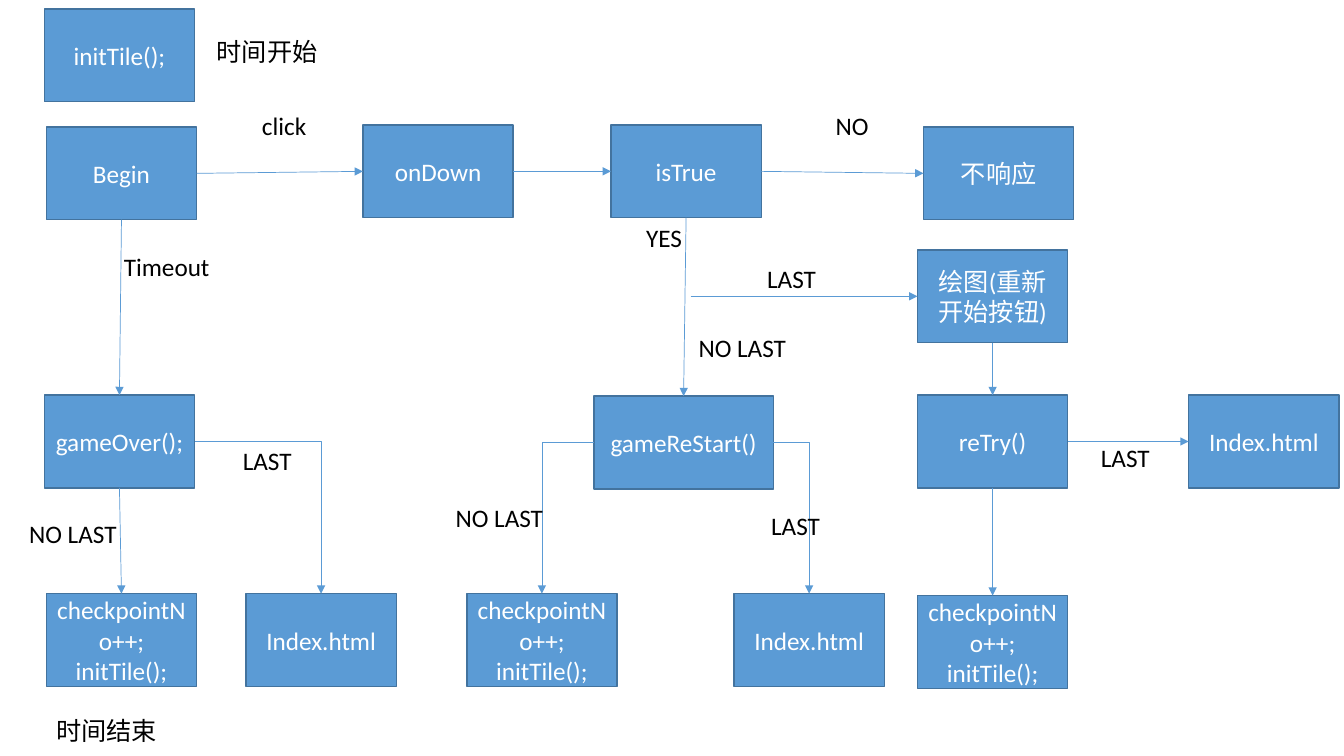
from pptx import Presentation
from pptx.dml.color import RGBColor
from pptx.enum.shapes import MSO_CONNECTOR as LINK, MSO_SHAPE as SHAPE
from pptx.enum.text import MSO_ANCHOR as ANCHOR, MSO_AUTO_SIZE as FIT, PP_ALIGN as ALIGN
from pptx.oxml.ns import qn
from pptx.util import Inches, Pt
from lxml.etree import SubElement


def color(value):
    return RGBColor.from_string(value)


def write(frame, text, ink, align):
    frame.text = text
    for para in frame.paragraphs:
        para.alignment = align
        para.font.name = "Calibri"
        para.font.size = Pt(18)
        para.font.color.rgb = color(ink)


deck = Presentation()
deck.slide_width, deck.slide_height = Inches(13.33), Inches(7.5)
page = deck.slides.add_slide(deck.slide_layouts[6])

# Grid of the flowchart: left edges of columns, top edges of rows
BEGIN, OVER_EXIT, DOWN, NEXT, RESTART, CHECK = 0.44, 2.44, 3.6, 4.63, 5.89, 6.06
RESTART_EXIT, RETRY, IGNORE, EXIT = 7.28, 9.1, 9.16, 11.79
START, CLICK, DRAW, RESULT, FINISH = 0.09, 1.24, 2.48, 3.92, 5.89
NUDGE = 0.02
BOX_WIDTH, WIDE_BOX, BOX_HEIGHT = 1.49, 1.78, 0.92
next_level = "checkpointNo++;\ninitTile();"

# Step boxes
steps = {
    "start": ("initTile();", BEGIN, START),
    "begin": ("Begin", BEGIN + NUDGE, CLICK + NUDGE),
    "down": ("onDown", DOWN, CLICK),
    "check": ("isTrue", CHECK, CLICK),
    "ignore": ("不响应", IGNORE, CLICK + NUDGE),
    "draw": ("绘图(重新开始按钮)", RETRY, DRAW),
    "over": ("gameOver();", BEGIN, RESULT),
    "restart": ("gameReStart()", RESTART, RESULT + NUDGE / 2),
    "retry": ("reTry()", RETRY, RESULT),
    "retry exit": ("Index.html", EXIT, RESULT),
    "over next": (next_level, BEGIN + NUDGE, FINISH),
    "over exit": ("Index.html", OVER_EXIT, FINISH),
    "restart next": (next_level, NEXT, FINISH),
    "restart exit": ("Index.html", RESTART_EXIT, FINISH),
    "retry next": (next_level, RETRY, FINISH + NUDGE),
}
boxes = {}
for step, (text, left, top) in steps.items():
    width = WIDE_BOX if step == "restart" else BOX_WIDTH
    box = page.shapes.add_shape(SHAPE.RECTANGLE, Inches(left), Inches(top),
                                Inches(width), Inches(BOX_HEIGHT))
    box.shadow.inherit = False
    box.fill.solid()
    box.fill.fore_color.rgb = color("5B9BD5")
    box.line.color.rgb = color("43739E")
    box.line.width = Pt(1)
    box.text_frame.word_wrap = True
    box.text_frame.vertical_anchor = ANCHOR.MIDDLE
    write(box.text_frame, text, "FFFFFF", ALIGN.CENTER)
    boxes[step] = box

# Arrows between connection sites; the branch to "draw" starts in open space
TOP, LEFT, BOTTOM, RIGHT = range(4)
arrows = [
    ("begin", RIGHT, "down", LEFT),
    ("down", RIGHT, "check", LEFT),
    ("check", RIGHT, "ignore", LEFT),
    ("begin", BOTTOM, "over", TOP),
    ("check", BOTTOM, "restart", TOP),
    (None, None, "draw", LEFT),
    ("draw", BOTTOM, "retry", TOP),
    ("retry", RIGHT, "retry exit", LEFT),
    ("retry", BOTTOM, "retry next", TOP),
    ("over", BOTTOM, "over next", TOP),
    ("over", RIGHT, "over exit", TOP),
    ("restart", LEFT, "restart next", TOP),
    ("restart", RIGHT, "restart exit", TOP),
]
branch_x, branch_y = Inches(6.85), Inches(DRAW + BOX_HEIGHT / 2)
for source, source_site, target, target_site in arrows:
    bent = source_site in (LEFT, RIGHT) and target_site == TOP
    arrow = page.shapes.add_connector(LINK.ELBOW if bent else LINK.STRAIGHT,
                                      branch_x, branch_y, branch_x, branch_y)
    if source:
        arrow.begin_connect(boxes[source], source_site)
    arrow.end_connect(boxes[target], target_site)
    arrow.line.color.rgb = color("5B9BD5")
    arrow.line.width = Pt(0.5)
    properties = arrow._element.spPr
    if bent:
        properties.find(qn("a:prstGeom")).set("prst", "bentConnector2")
    SubElement(properties.find(qn("a:ln")), qn("a:tailEnd"), type="triangle")
    SubElement(properties, qn("a:effectLst"))

# Labels beside the arrows and the start and end notes
labels = [
    ("时间开始", 2.05, 0.31, 1.21),
    ("click", 2.5, 1.05, 0.65),
    ("NO", 8.19, 1.05, 0.53),
    ("YES", 6.31, 2.16, 0.56),
    ("Timeout", 1.13, 2.44, 1.06),
    ("LAST", 7.51, 2.56, 0.69),
    ("NO LAST", 6.83, 3.25, 1.08),
    ("LAST", 10.82, 4.34, 0.69),
    ("LAST", 2.31, 4.37, 0.69),
    ("NO LAST", 4.42, 4.93, 1.08),
    ("LAST", 7.55, 5.01, 0.69),
    ("NO LAST", 0.19, 5.09, 1.08),
    ("时间结束", 0.46, 7.05, 1.21),
]
for text, left, top, width in labels:
    label = page.shapes.add_textbox(Inches(left), Inches(top), Inches(width), Inches(0.4))
    label.text_frame.word_wrap = False
    label.text_frame.auto_size = FIT.SHAPE_TO_FIT_TEXT
    write(label.text_frame, text, "000000", ALIGN.LEFT)

deck.save("out.pptx")
